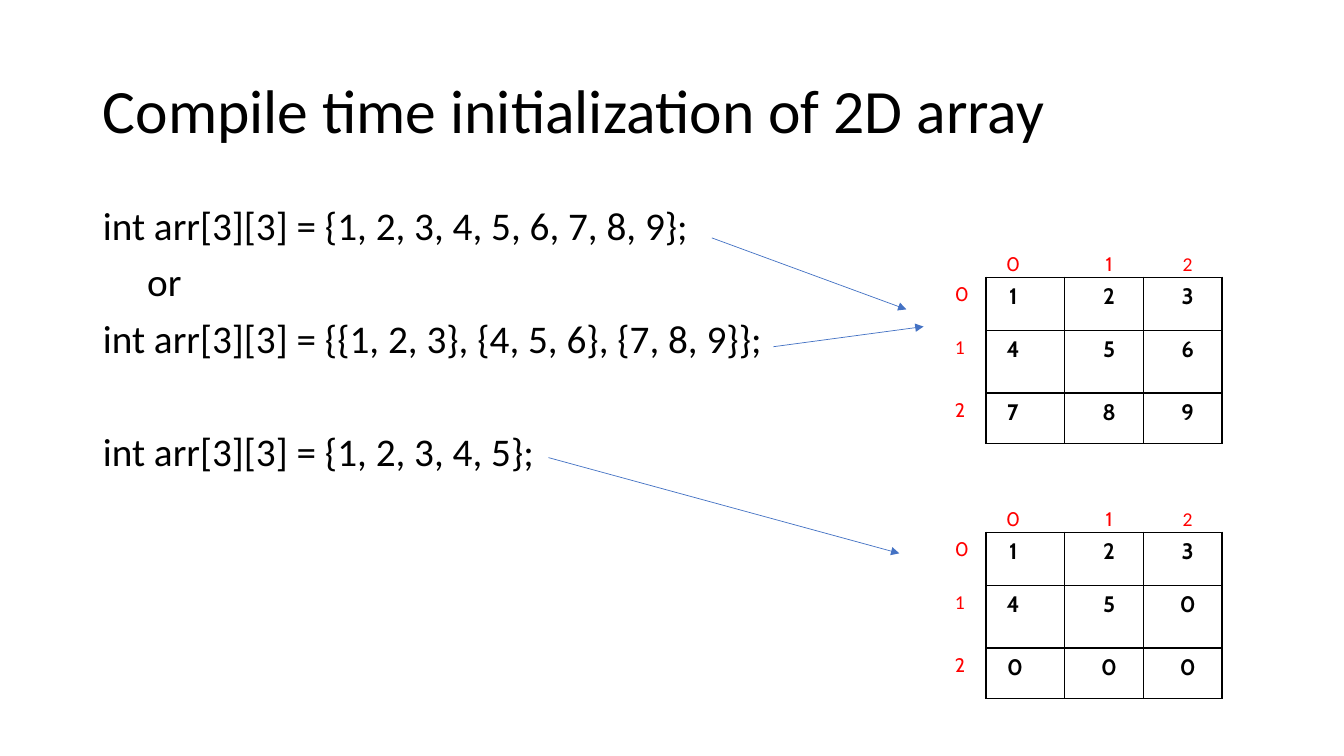
from lxml import etree
from pptx import Presentation
from pptx.dml.color import RGBColor
from pptx.enum.shapes import MSO_CONNECTOR
from pptx.enum.text import MSO_ANCHOR, MSO_AUTO_SIZE, PP_ALIGN
from pptx.oxml.ns import qn
from pptx.util import Inches, Pt

STRAIGHT = MSO_CONNECTOR.STRAIGHT
MIDDLE, TOP = MSO_ANCHOR.MIDDLE, MSO_ANCHOR.TOP
NO_FIT = MSO_AUTO_SIZE.NONE
LEFT, CENTER = PP_ALIGN.LEFT, PP_ALIGN.CENTER
COLORS = {"text": "000000", "index": "FF0000", "cell": "FFFFFF",
          "grid": "000000", "arrow": "4472C4"}


def style(paragraph, size, color, font="Calibri", bold=False, align=LEFT, spacing=0.9):
    paragraph.alignment = align
    paragraph.line_spacing = spacing
    for name, value in {"size": Pt(size), "name": font, "bold": bold}.items():
        setattr(paragraph.font, name, value)
    paragraph.font.color.rgb = RGBColor.from_string(COLORS[color])


def place(shape, left, top, width, height):
    box = {"left": left, "top": top, "width": width, "height": height}
    for name, value in box.items():
        setattr(shape, name, Inches(value))


prs = Presentation()
prs.slide_width, prs.slide_height = Inches(13.33), Inches(7.5)
slide = prs.slides.add_slide(prs.slide_layouts[1])

title = slide.shapes.title
place(title, 0.92, 0.4, 11.5, 1.45)
title.text_frame.text = "Compile time initialization of 2D array"
title.text_frame.vertical_anchor = MIDDLE
title.text_frame.auto_size = NO_FIT
style(title.text_frame.paragraphs[0], 44, "text")

declarations = slide.placeholders[1]
place(declarations, 0.92, 2, 11.5, 4.76)
code = declarations.text_frame
code.vertical_anchor = TOP
code.auto_size = NO_FIT
code_lines = [
    ("int arr[3][3] = {1, 2, 3, 4, 5, 6, 7, 8, 9};", 0, 0),
    ("or", 0.44, 10),
    ("int arr[3][3] = {{1, 2, 3}, {4, 5, 6}, {7, 8, 9}};", 0, 10),
    ("int arr[3][3] = {1, 2, 3, 4, 5};", 0, 50.5),
]
for i, (line, indent, gap) in enumerate(code_lines):
    paragraph = code.add_paragraph() if i else code.paragraphs[0]
    paragraph.text = line
    properties = paragraph._p.get_or_add_pPr()
    properties.set("marL", str(Inches(indent)))
    properties.set("indent", "0")
    etree.SubElement(properties, qn("a:buNone"))
    style(paragraph, 28, "text")
    paragraph.space_before = Pt(gap)

column_widths = [0.42, 0.78, 0.78, 0.78]
row_heights = [0.52, 0.53, 0.62, 0.5]
cell_insets = {"margin_left": 0.01, "margin_right": 0.01,
               "margin_top": 0.04, "margin_bottom": 0}
calibri_indices = [(0, 3), (2, 0)]
arrays = [
    (2.23, [[1, 2, 3], [4, 5, 6], [7, 8, 9]]),
    (4.76, [[1, 2, 3], [4, 5, 0], [0, 0, 0]]),
]
for top, values in arrays:
    frame = slide.shapes.add_table(4, 4, Inches(9.36), Inches(top),
                                   Inches(sum(column_widths)), Inches(sum(row_heights)))
    grid = frame.table
    grid.first_row = grid.horz_banding = False
    for column, width in zip(grid.columns, column_widths):
        column.width = Inches(width)
    for row, height in zip(grid.rows, row_heights):
        row.height = Inches(height)

    labelled = [["", 0, 1, 2]] + [[r, *row] for r, row in enumerate(values)]
    for r, row in enumerate(labelled):
        for c, value in enumerate(row):
            cell = grid.cell(r, c)
            cell.fill.solid()
            cell.fill.fore_color.rgb = RGBColor.from_string(COLORS["cell"])
            for name, inset in cell_insets.items():
                setattr(cell, name, Inches(inset))

            edges = "LRTB" if r and c else "B" if c else "R" if r else ""
            for position, edge in enumerate(edges):
                border = etree.Element(qn(f"a:ln{edge}"), w=str(Pt(1)))
                solid = etree.SubElement(border, qn("a:solidFill"))
                etree.SubElement(solid, qn("a:srgbClr"), val=COLORS["grid"])
                cell._tc.get_or_add_tcPr().insert(position, border)

            cell.text = str(value)
            paragraph = cell.text_frame.paragraphs[0]
            is_value = r > 0 and c > 0
            left_set = c == 0 or (r, c) == (3, 1)
            style(paragraph, 16 if is_value else 14, "text" if is_value else "index",
                  font="Calibri" if (r, c) in calibri_indices else "Cabin",
                  bold=is_value, align=LEFT if left_set else CENTER,
                  spacing=1.07 if r else 2.0)
            paragraph.space_after = Pt(8)
            properties = paragraph._p.get_or_add_pPr()
            properties.set("marL", str(Inches(0.2 if (r, c) == (3, 1) else 0.1)))
            if c == 1 and not left_set:
                properties.set("marR", str(Inches(0.34)))

arrows = [(7.06, 2.36, 8.99, 3.07), (7.67, 3.44, 9.16, 3.24), (5.44, 4.54, 8.92, 5.49)]
for ends in arrows:
    arrow = slide.shapes.add_connector(STRAIGHT, *map(Inches, ends))
    arrow.line.width = Pt(0.5)
    arrow.line.color.rgb = RGBColor.from_string(COLORS["arrow"])
    etree.SubElement(arrow.line._get_or_add_ln(), qn("a:tailEnd"), type="triangle")
    etree.SubElement(arrow._element.spPr, qn("a:effectLst"))

prs.save("out.pptx")
